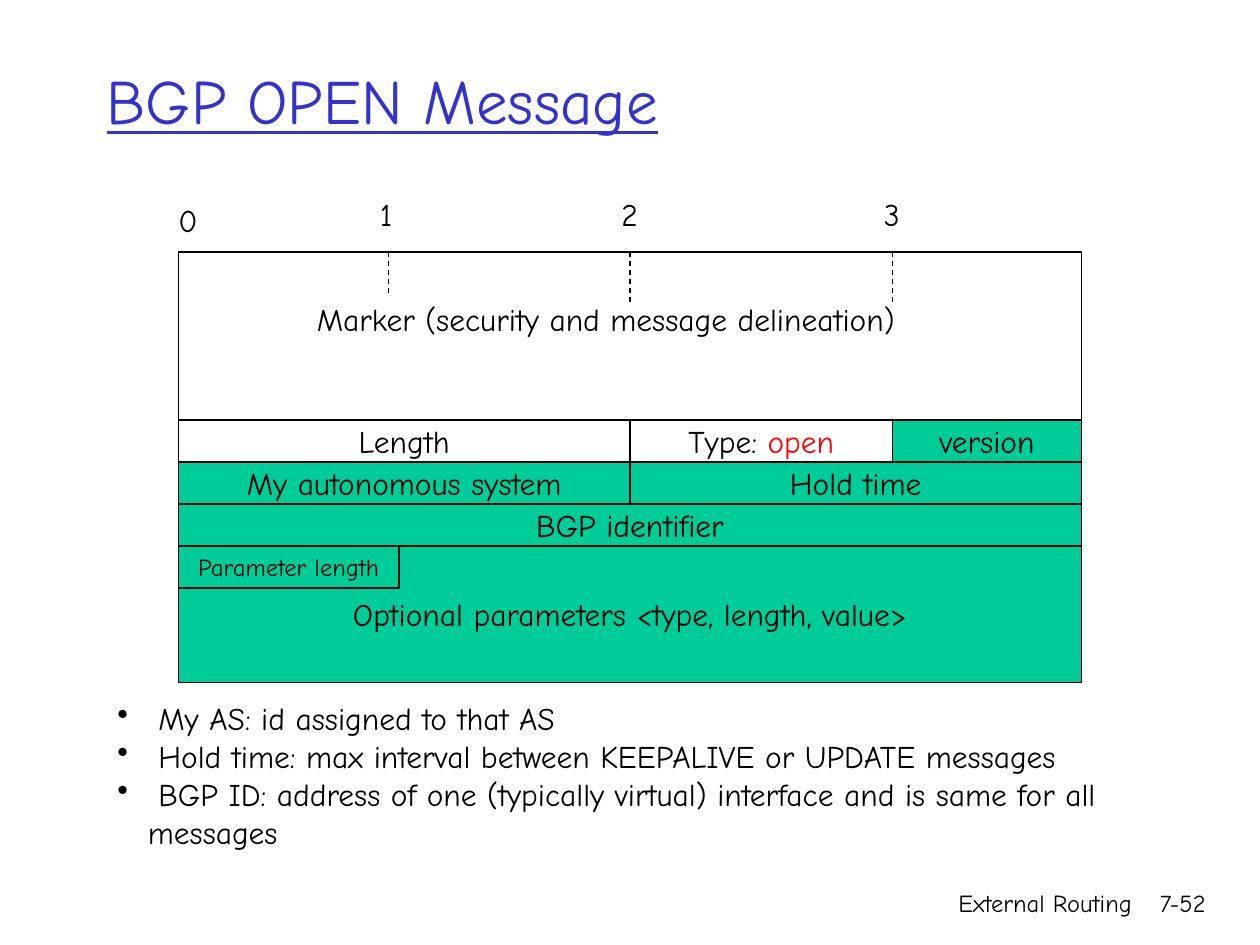
from lxml import etree
from pptx import Presentation
from pptx import util as u
from pptx.dml.color import RGBColor
from pptx.enum import dml, shapes, text
from pptx.oxml.ns import qn

PX = 7620
BLACK, GREEN, BLUE, RED = "000000", "00CC99", "3333CC", "FF0000"
LEFT, RIGHT = 170, 1030
BYTE_EDGES = [370, 600, 850]


def rgb(value):
    return RGBColor.from_string(value)


def write(box, lines, size=18, color=BLACK, align=text.PP_ALIGN.LEFT, wrap=True,
          anchor=text.MSO_ANCHOR.TOP, bullet=False):
    frame = box.text_frame
    frame.word_wrap = wrap
    frame.vertical_anchor = anchor
    for i, line in enumerate(lines):
        paragraph = frame.add_paragraph() if i else frame.paragraphs[0]
        paragraph.alignment = align
        if bullet:
            props = paragraph._p.get_or_add_pPr()
            props.set("marL", str(29 * PX))
            props.set("indent", str(-29 * PX))
            etree.SubElement(props, qn("a:buChar")).set("char", "•")
        paragraph.font.name = "Comic Neue"
        paragraph.font.size = u.Pt(size)
        paragraph.font.color.rgb = rgb(color)
        paragraph.add_run().text = line
    return frame


deck = Presentation()
deck.slide_width, deck.slide_height = 1200 * PX, 900 * PX
slide = deck.slides.add_slide(deck.slide_layouts[6])
canvas = slide.shapes

title = canvas.add_textbox(90 * PX, 20 * PX, 1020 * PX, 150 * PX)
heading = write(title, ["BGP OPEN Message"], 36, BLUE, anchor=text.MSO_ANCHOR.MIDDLE)
heading.paragraphs[0].font.underline = True

fields = [
    ("Optional parameters <type, length, value>", LEFT, RIGHT, 520, 130, GREEN, 18),
    ("", LEFT, RIGHT, 240, 160, None, 18),
    ("Length", LEFT, 600, 400, 40, None, 18),
    ("Type: ", 600, 850, 400, 40, None, 18),
    ("version", 850, RIGHT, 400, 40, GREEN, 18),
    ("My autonomous system", LEFT, 600, 440, 40, GREEN, 18),
    ("Hold time", 600, RIGHT, 440, 40, GREEN, 18),
    ("BGP identifier", LEFT, RIGHT, 480, 40, GREEN, 18),
    ("Parameter length", LEFT, 380, 520, 40, GREEN, 14),
]
for label, start, end, top, height, fill, size in fields:
    field = canvas.add_shape(shapes.MSO_SHAPE.RECTANGLE, start * PX, top * PX,
                             (end - start) * PX, height * PX)
    field.shadow.inherit = False
    if fill:
        field.fill.solid()
        field.fill.fore_color.rgb = rgb(fill)
    else:
        field.fill.background()
    field.line.color.rgb = rgb(BLACK)
    field.line.width = u.Pt(0.75)
    if label:
        content = write(field, [label], size, align=text.PP_ALIGN.CENTER, wrap=False,
                        anchor=text.MSO_ANCHOR.MIDDLE)
    if label == "Type: ":
        message_type = content.paragraphs[0].add_run()
        message_type.text = "open"
        message_type.font.color.rgb = rgb(RED)

for edge, bottom in zip(BYTE_EDGES, [280, 290, 290]):
    tick = canvas.add_connector(shapes.MSO_CONNECTOR.STRAIGHT, edge * PX, 240 * PX,
                                edge * PX, bottom * PX)
    tick.line.color.rgb = rgb(BLACK)
    tick.line.width = u.Pt(0.75)
    tick.line.dash_style = dml.MSO_LINE.DASH
    etree.SubElement(tick._element.spPr, qn("a:effectLst"))

captions = [("0", 158, 186, 44)]
captions += [(str(i), edge - 20, 180, 44) for i, edge in enumerate(BYTE_EDGES, 1)]
captions.append(("Marker (security and message delineation)", 290, 280, 706))
for caption, left, top, width in captions:
    box = canvas.add_textbox(left * PX, top * PX, width * PX, 60 * PX)
    frame = write(box, [caption], wrap=False)
    frame.auto_size = text.MSO_AUTO_SIZE.SHAPE_TO_FIT_TEXT

notes = [
    " My AS: id assigned to that AS",
    " Hold time: max interval between KEEPALIVE or UPDATE messages",
    " BGP ID: address of one (typically virtual) interface and is same for all messages",
]
explanation = canvas.add_textbox(100 * PX, 660 * PX, 989 * PX, 157 * PX)
write(explanation, notes, bullet=True).auto_size = text.MSO_AUTO_SIZE.SHAPE_TO_FIT_TEXT

for footer, left, width in [("External Routing", 710, 380), ("7-52", 1071, 89)]:
    box = canvas.add_textbox(left * PX, 840 * PX, width * PX, 60 * PX)
    write(box, [footer], 14, align=text.PP_ALIGN.RIGHT)

deck.save("out.pptx")
